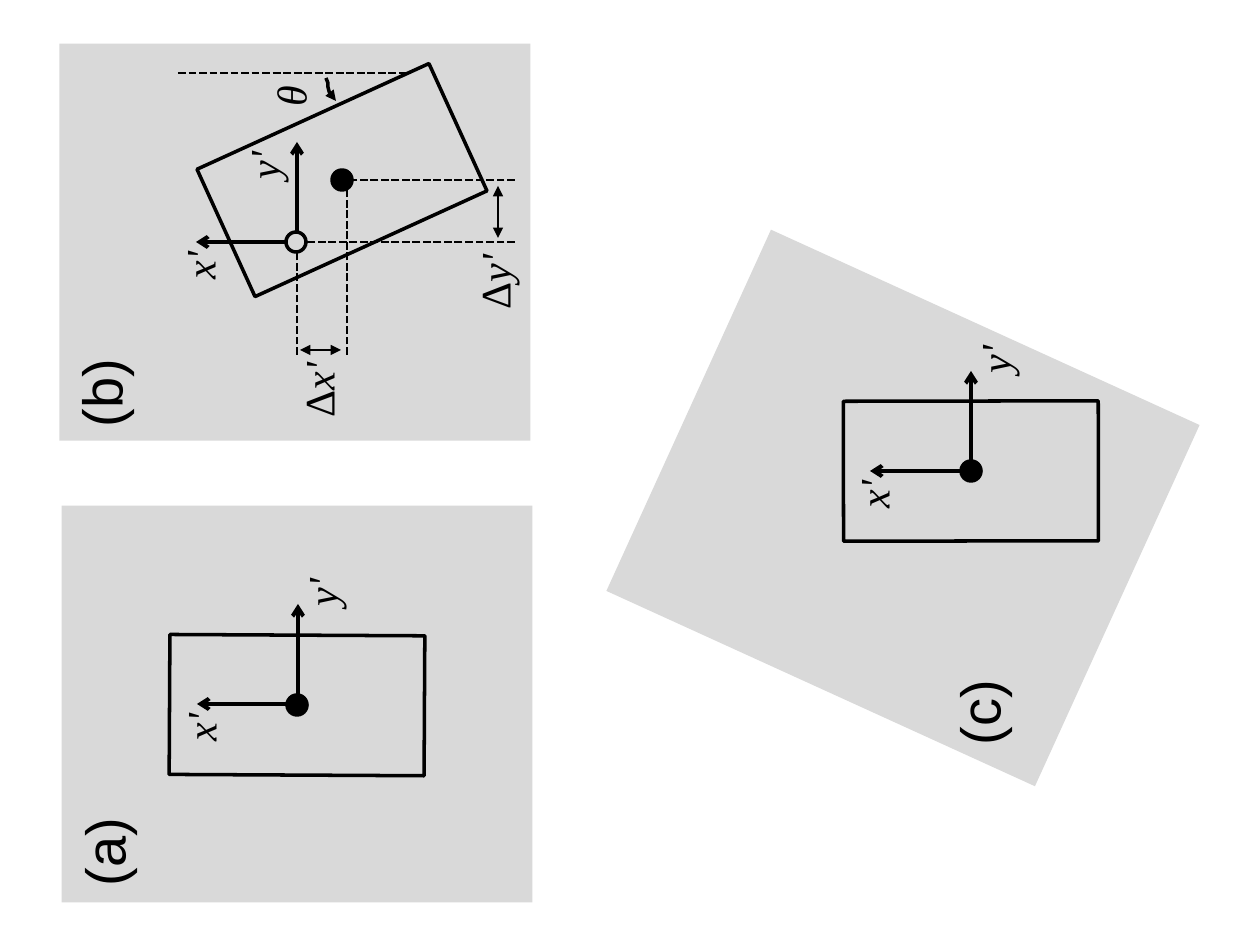
from pptx import Presentation
from pptx.dml.color import RGBColor
from pptx.enum.dml import MSO_LINE as DASH
from pptx.enum.shapes import MSO_CONNECTOR as CONN, MSO_SHAPE as SHAPE
from pptx.enum.text import MSO_AUTO_SIZE as AUTO
from pptx.oxml.ns import qn
from pptx.util import Pt
from lxml.etree import SubElement

PX = 914400 / 126
BLACK, GREY = "000000", "D9D9D9"
SERIF, SANS = "Times New Roman", "Arial"

# Centres are (x, y); turns are degrees clockwise
PANELS = [
    dict(letter="(a)", letter_at=(104, 852), plate=(297, 704), plate_turn=270,
         body=(297, 705), body_turn=270.3, origin=(297, 704),
         y_label=(24, -112), moved=False),
    dict(letter="(b)", letter_at=(101, 393), plate=(295, 242), plate_turn=270,
         body=(342, 180), body_turn=245.5, origin=(296, 242),
         y_label=(-33, -77), moved=True),
    dict(letter="(c)", letter_at=(979, 711), plate=(903, 508), plate_turn=294.5,
         body=(971, 471), body_turn=269.9, origin=(970, 471),
         y_label=(24, -112), moved=False),
]
PLATE, BODY, DOT, AXIS = (397, 471), (140, 255), (20, 20), 100
X_LABEL = (-97, 23)

# Offset and rotation marks of the moved body
GUIDES = [((297, 355), (297, 242)), ((347, 355), (347, 183)),
          ((515, 242), (297, 242)), ((515, 180), (341, 180)),
          ((178, 73), (406, 73))]
SPANS = [((300, 350), (341, 350)), ((498, 186), (498, 238))]
MARKS = [((318, 389), (81, 63), [("Δ", False), ("x'", True)]),
         ((494, 281), (81, 63), [("Δ", False), ("y'", True)]),
         ((290, 95), (47, 63), [("θ", True)])]
TURN_ARC = [(326, 78), (328, 83), (328, 87), (329, 91), (330, 94), (333, 98), (336, 101)]


def emu(*values):
    return [round(v * PX) for v in values]


def rgb(color):
    return RGBColor.from_string(color)


def box(center, size):
    (x, y), (w, h) = center, size
    return emu(x - w / 2, y - h / 2, w, h)


def style_line(line, width, head=None, tail=None, dash=None):
    line.color.rgb = rgb(BLACK)
    line.width = Pt(width)
    if dash:
        line.dash_style = dash
    ln = line._get_or_add_ln()
    for tag, kind in (("a:headEnd", head), ("a:tailEnd", tail)):
        if kind:
            SubElement(ln, qn(tag), type=kind)


def add_shape(shapes, kind, center, size, turn=0, fill=None, outline=True):
    sp = shapes.add_shape(kind, *box(center, size))
    sp.rotation = turn
    sp.shadow.inherit = False
    if fill:
        sp.fill.solid()
        sp.fill.fore_color.rgb = rgb(fill)
    else:
        sp.fill.background()
    if outline:
        style_line(sp.line, 2)
    else:
        sp.line.fill.background()


def add_line(shapes, start, end, width, **ends):
    c = shapes.add_connector(CONN.STRAIGHT, *emu(*start, *end))
    style_line(c.line, width, **ends)
    SubElement(c._element.spPr, qn("a:effectLst"))


def add_label(shapes, center, size, runs, font=SERIF, points=24):
    sp = shapes.add_textbox(*box(center, size))
    sp.rotation = 270
    tf = sp.text_frame
    tf.word_wrap = False
    tf.auto_size = AUTO.SHAPE_TO_FIT_TEXT
    p = tf.paragraphs[0]
    for text, italic in runs:
        r = p.add_run()
        r.text = text
        r.font.name, r.font.size, r.font.italic = font, Pt(points), italic
        r.font.color.rgb = rgb(BLACK)


def add_marks(shapes):
    for start, end in GUIDES:
        add_line(shapes, start, end, 1.5, dash=DASH.SQUARE_DOT)
    for start, end in SPANS:
        add_line(shapes, start, end, 0.75, head="triangle", tail="triangle")
    for center, size, runs in MARKS:
        add_label(shapes, center, size, runs)
    builder = shapes.build_freeform(*TURN_ARC[0], scale=PX)
    builder.add_line_segments(TURN_ARC[1:], close=False)
    arc = builder.convert_to_shape()
    arc.fill.background()
    arc.shadow.inherit = False
    style_line(arc.line, 2, tail="triangle")


def add_panel(shapes, panel):
    ox, oy = panel["origin"]
    add_shape(shapes, SHAPE.RECTANGLE, panel["plate"], PLATE,
              panel["plate_turn"], GREY, outline=False)
    if panel["moved"]:
        add_marks(shapes)
    add_shape(shapes, SHAPE.RECTANGLE, panel["body"], BODY, panel["body_turn"])
    # Axes, with x' pointing up the slide's left and y' up
    add_line(shapes, (ox - 1, oy), (ox - AXIS, oy), 2.25, tail="arrow")
    add_line(shapes, (ox + 1, oy - 1), (ox + 1, oy - AXIS), 2.25, tail="arrow")
    for text, (dx, dy) in (("x'", X_LABEL), ("y'", panel["y_label"])):
        add_label(shapes, (ox + dx, oy + dy), (53, 63), [(text, True)])
    # Body centre, and the open origin it has left
    add_shape(shapes, SHAPE.OVAL, panel["body"], DOT, fill=BLACK)
    if panel["moved"]:
        add_shape(shapes, SHAPE.OVAL, panel["origin"], DOT, fill=GREY)
    add_label(shapes, panel["letter_at"], (94, 81), [(panel["letter"], False)], SANS, 32)


def main():
    prs = Presentation()
    prs.slide_width, prs.slide_height = emu(1260, 945)
    s = prs.slides.add_slide(prs.slide_layouts[6])
    for panel in PANELS:
        add_panel(s.shapes.add_group_shape().shapes, panel)
    prs.save("out.pptx")


if __name__ == "__main__":
    main()
